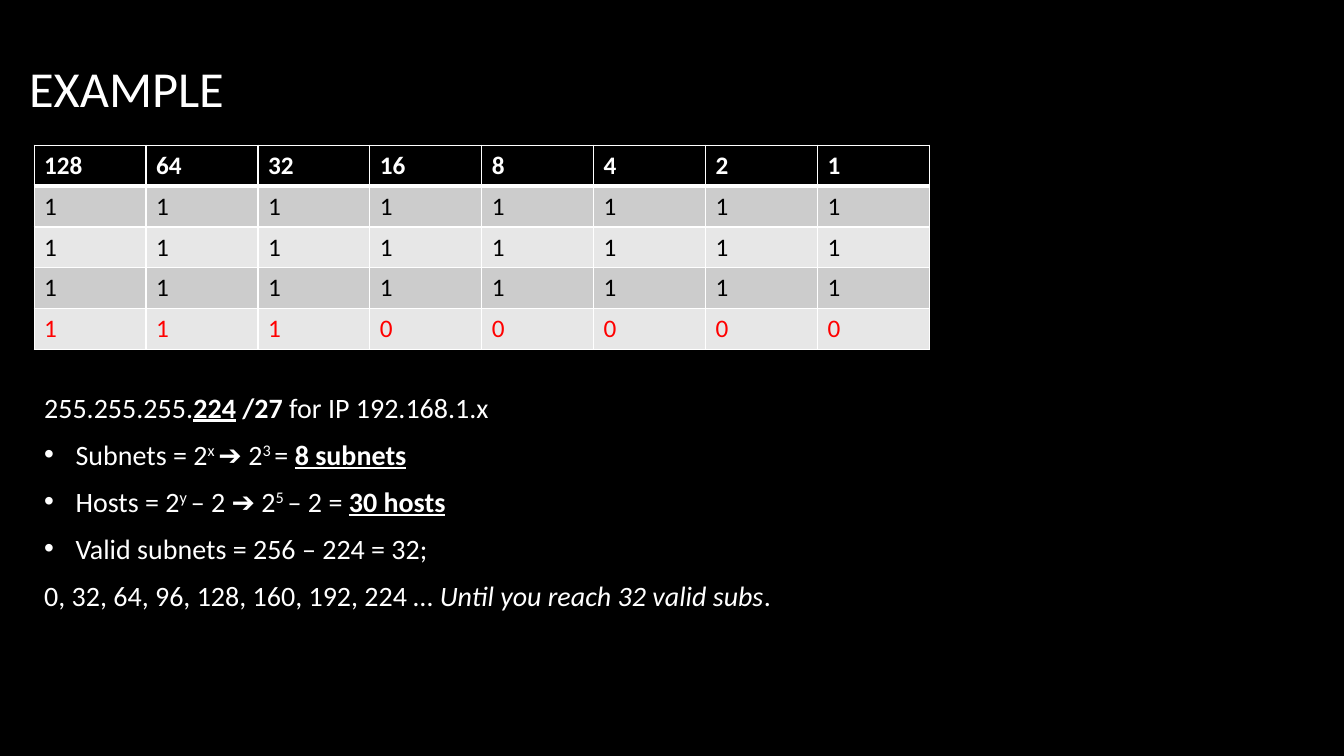
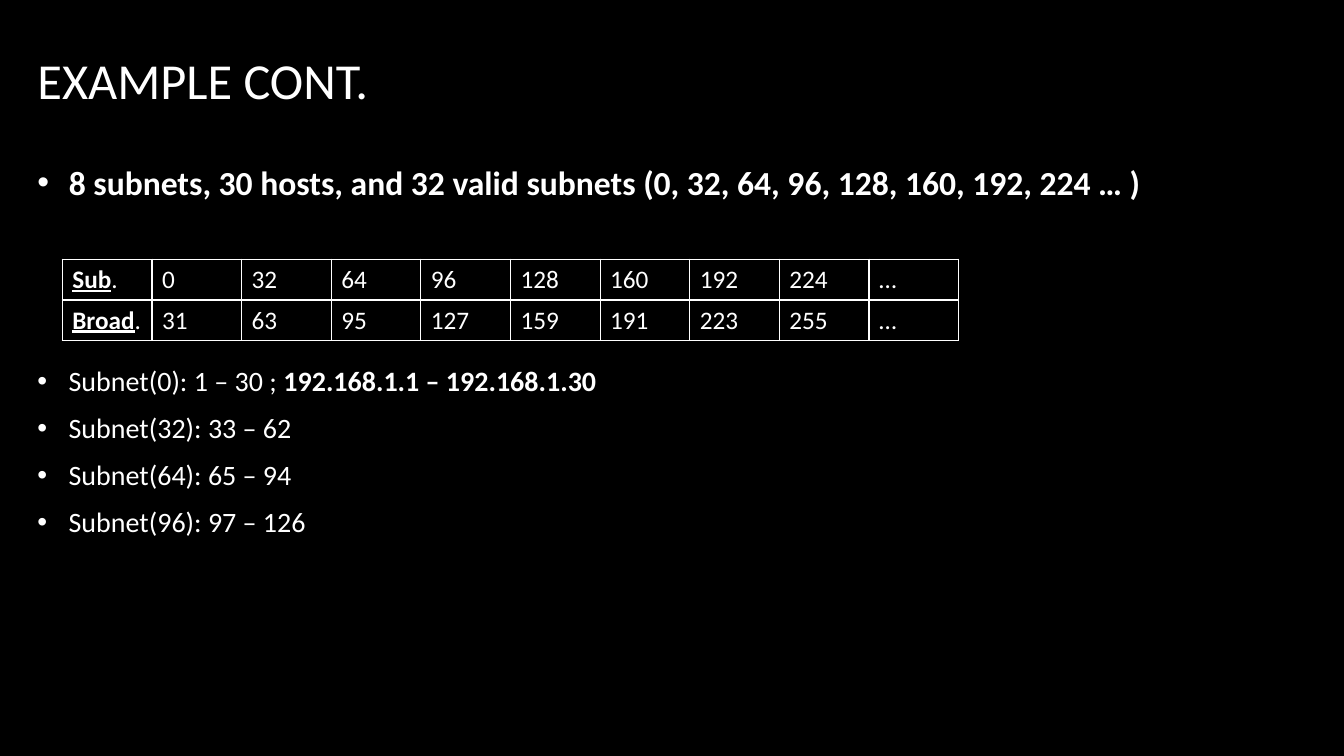
from dataclasses import dataclass

from lxml import etree
from pptx import Presentation
from pptx.dml.color import RGBColor
from pptx.enum.text import MSO_ANCHOR, MSO_AUTO_SIZE, PP_ALIGN
from pptx.oxml.ns import qn
from pptx.util import Cm, Pt

LEFT = PP_ALIGN.LEFT
TOP, MIDDLE = MSO_ANCHOR.TOP, MSO_ANCHOR.MIDDLE
NO_AUTOFIT = MSO_AUTO_SIZE.NONE

BLACK = RGBColor(0x00, 0x00, 0x00)
WHITE = RGBColor(0xFF, 0xFF, 0xFF)
RED = RGBColor(0xFF, 0x00, 0x00)
DARK_BAND = RGBColor(0xCC, 0xCC, 0xCC)
LIGHT_BAND = RGBColor(0xE7, 0xE7, 0xE7)

FONT = "Calibri"
TITLE_SIZE, LEAD_SIZE, LIST_SIZE, TABLE_SIZE = 36, 24, 20, 18
TITLE_AND_CONTENT = 1
INDENT = Cm(0.79)
ROW_HEIGHT = Cm(1.03)
THIN, THICK = Pt(1), Pt(3)
BLOCK_SIZE = 32


@dataclass(frozen=True)
class Span:
    """A stretch of text with one emphasis."""
    text: str
    bold: bool = False
    underline: bool = False
    italic: bool = False
    superscript: bool = False


@dataclass(frozen=True)
class Line:
    """A paragraph of a list."""
    spans: tuple[Span, ...]
    bullet: bool = True


@dataclass(frozen=True)
class Row:
    """A table row with its colours."""
    cells: tuple[tuple[Span, ...], ...]
    fill: RGBColor | None = None
    color: RGBColor = WHITE
    header: bool = False


@dataclass(frozen=True)
class Box:
    """A place on the slide, in centimetres."""
    left: float
    top: float
    width: float
    height: float


def plain(text: str) -> Span:
    return Span(text)


def key(text: str) -> Span:
    return Span(text, bold=True, underline=True)


def power(text: str) -> Span:
    return Span(text, superscript=True)


def write_spans(paragraph, spans: tuple[Span, ...], size: float, color: RGBColor) -> None:
    """Fill a paragraph with spans in one font."""
    font = paragraph.font
    font.name, font.size = FONT, Pt(size)
    font.color.rgb = color
    for span in spans:
        run = paragraph.add_run()
        run.text = span.text
        run.font.bold = span.bold
        run.font.underline = span.underline
        run.font.italic = span.italic
        if span.superscript:
            run._r.get_or_add_rPr().set("baseline", "30000")


def place(shape, box: Box, anchor: MSO_ANCHOR) -> None:
    """Move a text shape and fix its frame."""
    shape.left, shape.top = Cm(box.left), Cm(box.top)
    shape.width, shape.height = Cm(box.width), Cm(box.height)
    frame = shape.text_frame
    frame.word_wrap = True
    frame.auto_size = NO_AUTOFIT
    frame.vertical_anchor = anchor


def set_bullet(paragraph, bullet: bool) -> None:
    """Give a paragraph a hanging bullet or none."""
    properties = paragraph._p.get_or_add_pPr()
    properties.set("marL", str(INDENT if bullet else 0))
    properties.set("indent", str(-INDENT if bullet else 0))
    if bullet:
        etree.SubElement(properties, qn("a:buFont")).set("typeface", "Arial")
        etree.SubElement(properties, qn("a:buChar")).set("char", "•")
    else:
        etree.SubElement(properties, qn("a:buNone"))


def write_list(shape, box: Box, lines: list[Line], size: float) -> None:
    """Place a list and write its lines."""
    place(shape, box, TOP)
    frame = shape.text_frame
    for index, line in enumerate(lines):
        paragraph = frame.add_paragraph() if index else frame.paragraphs[0]
        set_bullet(paragraph, line.bullet)
        paragraph.alignment = LEFT
        paragraph.line_spacing = 1.0
        paragraph.space_before, paragraph.space_after = Pt(0), Pt(9.6)
        write_spans(paragraph, line.spans, size, WHITE)


def set_borders(cell, top: int, bottom: int) -> None:
    """Draw white borders around a cell."""
    properties = cell._tc.get_or_add_tcPr()
    sides = {"a:lnL": THIN, "a:lnR": THIN, "a:lnT": top, "a:lnB": bottom}
    for position, (side, width) in enumerate(sides.items()):
        border = etree.Element(qn(side), w=str(width))
        fill = etree.SubElement(border, qn("a:solidFill"))
        etree.SubElement(fill, qn("a:srgbClr")).set("val", str(WHITE))
        properties.insert(position, border)


def add_grid(slide, left: float, top: float, column_width: float, rows: list[Row]) -> None:
    """Add a table of equal columns."""
    count = len(rows[0].cells)
    grid = slide.shapes.add_table(len(rows), count, Cm(left), Cm(top),
                                  Cm(column_width) * count, ROW_HEIGHT * len(rows)).table
    grid.first_row = grid.horz_banding = False
    for column in grid.columns:
        column.width = Cm(column_width)
    for index, row in enumerate(rows):
        grid.rows[index].height = ROW_HEIGHT
        below_header = index > 0 and rows[index - 1].header
        for cell, spans in zip(grid.rows[index].cells, row.cells):
            if row.fill is None:
                cell.fill.background()
            else:
                cell.fill.solid()
                cell.fill.fore_color.rgb = row.fill
            set_borders(cell, THICK if below_header else THIN, THICK if row.header else THIN)
            write_spans(cell.text_frame.paragraphs[0], spans, TABLE_SIZE, row.color)


def add_titled_slide(deck, title: str, box: Box):
    """Add a slide with its title written."""
    slide = deck.slides.add_slide(deck.slide_layouts[TITLE_AND_CONTENT])
    heading = slide.shapes.title
    place(heading, box, MIDDLE)
    paragraph = heading.text_frame.paragraphs[0]
    paragraph.alignment = LEFT
    write_spans(paragraph, (plain(title),), TITLE_SIZE, WHITE)
    return slide


def add_example(deck) -> None:
    """Add the slide that splits the mask into bits."""
    slide = add_titled_slide(deck, "EXAMPLE", Box(0.48, 0.18, 28.14, 4.04))
    write_list(slide.placeholders[1], Box(0.86, 9.7, 28.14, 7.49), [
        Line((plain("255.255.255."), key("224"), plain(" "), Span("/27", bold=True),
              plain(" for IP 192.168.1.x")), bullet=False),
        Line((plain("Subnets = 2"), power("x "), plain("➔ 2"), power("3 "),
              plain("= "), key("8 subnets"))),
        Line((plain("Hosts = 2"), power("y "), plain("– 2 ➔ 2"), power("5 "),
              plain("– 2 = "), key("30 hosts"))),
        Line((plain("Valid subnets = 256 – 224 = 32;"),)),
        Line((plain("0, 32, 64, 96, 128, 160, 192, 224 … "),
              Span("Until you reach 32 valid subs", italic=True), plain(".")), bullet=False),
    ], LIST_SIZE)
    bit_values = tuple((Span(str(2 ** bit), bold=True),) for bit in range(7, -1, -1))
    full_octet, last_octet = (tuple((plain(bit),) for bit in bits)
                              for bits in ("11111111", "11100000"))
    add_grid(slide, 0.86, 3.66, 2.82, [
        Row(bit_values, BLACK, header=True),
        Row(full_octet, DARK_BAND, BLACK),
        Row(full_octet, LIGHT_BAND, BLACK),
        Row(full_octet, DARK_BAND, BLACK),
        Row(last_octet, LIGHT_BAND, RED),
    ])


def add_example_continued(deck) -> None:
    """Add the slide that lists subnets and host ranges."""
    slide = add_titled_slide(deck, "EXAMPLE CONT.", Box(0.69, 0.89, 28.14, 2.24))
    summary = "8 subnets, 30 hosts, and 32 valid subnets (0, 32, 64, 96, 128, 160, 192, 224 … )"
    write_list(slide.placeholders[1], Box(0.69, 3.94, 28.88, 2.34),
               [Line((Span(summary, bold=True),))], LEAD_SIZE)

    subnets = range(0, 256, BLOCK_SIZE)
    broadcasts = [subnet + BLOCK_SIZE - 1 for subnet in subnets]
    add_grid(slide, 1.57, 6.53, 2.26, [
        Row(((key(label), plain(".")), *((plain(str(value)),) for value in values),
             (plain("…"),)))
        for label, values in (("Sub", subnets), ("Broad", broadcasts))
    ])

    addresses = {0: (Span("192.168.1.1 – 192.168.1.30", bold=True),)}
    host_ranges = [
        Line((plain(f"Subnet({subnet}): {subnet + 1} – {broadcast - 1}"
                    + (" ; " if subnet in addresses else "")),
              *addresses.get(subnet, ())))
        for subnet, broadcast in list(zip(subnets, broadcasts))[:4]
    ]
    box = Box(0.69, 9.04, 28.7, 9.58)
    hosts = slide.shapes.add_textbox(Cm(box.left), Cm(box.top), Cm(box.width), Cm(box.height))
    write_list(hosts, box, host_ranges, LIST_SIZE)


def main() -> None:
    """Build and save the deck."""
    deck = Presentation()
    deck.slide_width, deck.slide_height = Cm(33.87), Cm(19.05)
    backdrop = deck.slide_master.background.fill
    backdrop.solid()
    backdrop.fore_color.rgb = BLACK
    add_example(deck)
    add_example_continued(deck)
    deck.save("out.pptx")


if __name__ == "__main__":
    main()
